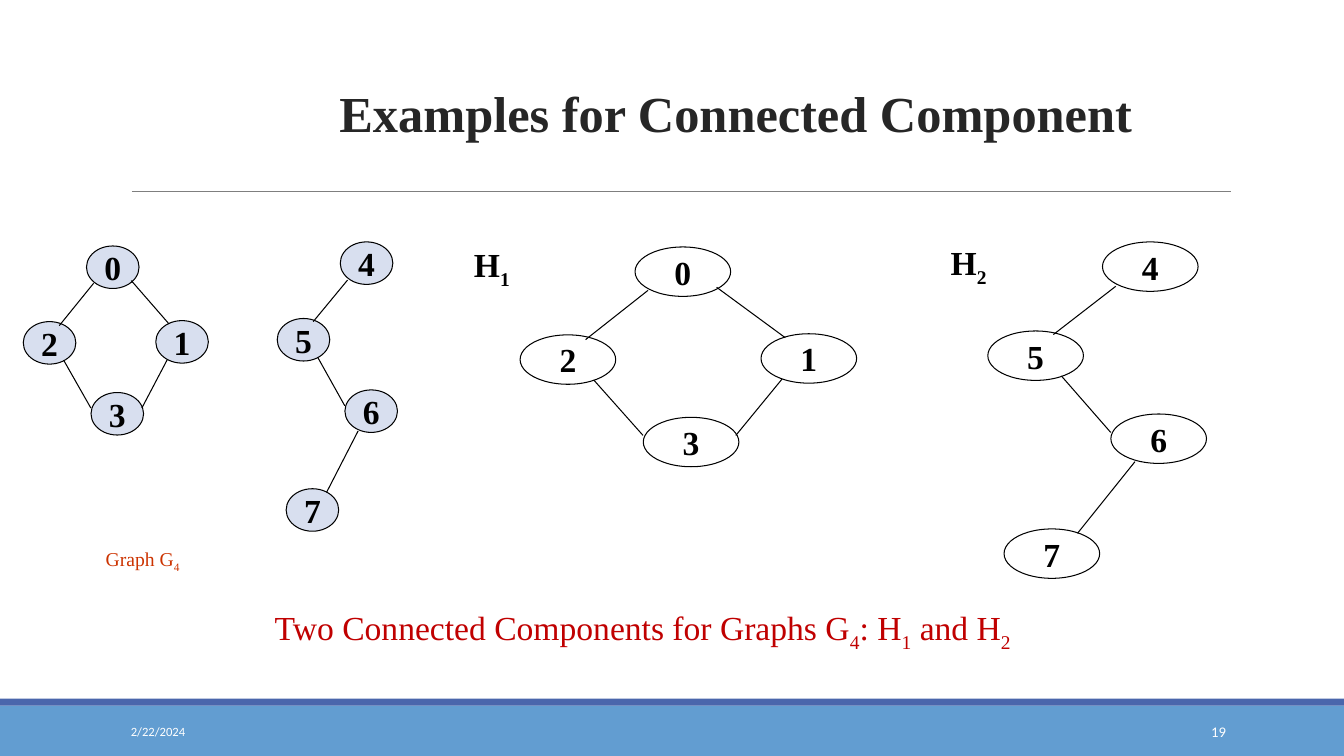
from pptx import Presentation
from pptx.dml.color import RGBColor
from pptx.enum.shapes import MSO_CONNECTOR, MSO_SHAPE
from pptx.enum.text import MSO_ANCHOR, PP_ALIGN
from pptx.oxml.ns import qn
from pptx.util import Pt
from lxml import etree

RECT, OVAL = MSO_SHAPE.RECTANGLE, MSO_SHAPE.OVAL
LINE = MSO_CONNECTOR.STRAIGHT
TOP, MID, LOW = MSO_ANCHOR.TOP, MSO_ANCHOR.MIDDLE, MSO_ANCHOR.BOTTOM
LEFT, MIDST, RIGHT = PP_ALIGN.LEFT, PP_ALIGN.CENTER, PP_ALIGN.RIGHT
SERIF, SANS = "Times New Roman", "Calibri"
HUES = {
    "white": "FFFFFF", "black": "000000", "node": "D8DFEF", "rule": "7F7F7F",
    "band": "629DD1", "strip": "4A66AC", "title": "262626",
    "red": "C00000", "rust": "CC3300",
}

# Content: runs are (text, is subscript)
TEXTS = [
    # box, runs, size, hue, bold, font, align, anchor
    ((86.4, 508.3, 194.4, 28.8), [("2/22/2024", False)],
     9, "white", False, SANS, LEFT, MID),
    ((779.8, 508.3, 103, 28.8), [("19", False)],
     10.5, "white", False, SANS, RIGHT, MID),
    ((324.7, 178.6, 53.3, 24.5), [("H", False), ("1", True)],
     24, "black", True, SERIF, MIDST, MID),
    ((665.3, 177.1, 53.3, 24.5), [("H", False), ("2", True)],
     24, "black", True, SERIF, MIDST, MID),
    ((129.6, 29.5, 792, 76.3), [("Examples for Connected Component", False)],
     36, "title", True, SERIF, MIDST, LOW),
    ((178.6, 432, 560.9, 36),
     [("Two Connected Components for Graphs G", False), ("4", True),
      (": H", False), ("1", True), (" and H", False), ("2", True)],
     24, "red", False, SERIF, MIDST, MID),
    ((68.4, 387.4, 72, 24.5), [("Graph G", False), ("4", True)],
     14, "rust", False, SERIF, LEFT, TOP),
]

# Each part: node corners and edge ends, relative to the part's corner
RING = {
    "nodes": {"0": (82.1, 0), "1": (172.1, 62), "2": (0, 62.8),
              "3": (88, 121.7)},
    "edges": [(140.4, 28.8, 189.4, 64.8), (187.2, 94.3, 154.1, 134.6),
              (91.4, 31, 46.8, 66.2), (52.6, 95, 87.8, 134.6)],
}
CHAIN = {
    "nodes": {"4": (81.9, 0), "5": (0, 63.6), "6": (87.9, 122.9),
              "7": (11.6, 205)},
    "edges": [(91.4, 31.7, 46.8, 66.2), (52.6, 95.8, 87.8, 136.1),
              (105.1, 157, 64.1, 208.1)],
}
NODE = (68.3, 35.3)
FULL, SMALL = (1, 1), (0.55, 0.86)
PARTS = [
    # part, corner, scale, fill
    (RING, (371.5, 176.4), FULL, "white"),
    (CHAIN, (705.6, 172.8), FULL, "white"),
    (RING, (16.6, 175.7), SMALL, "node"),
    (CHAIN, (198, 172.8), SMALL, "node"),
]


def hue(name):
    return RGBColor.from_string(HUES[name])


def write(shape, runs, size, tint, bold, font, align, anchor):
    frame = shape.text_frame
    frame.word_wrap = True
    frame.vertical_anchor = anchor
    para = frame.paragraphs[0]
    para.alignment = align
    for text, sub in runs:
        run = para.add_run()
        run.text = text
        run.font.size, run.font.bold, run.font.name = Pt(size), bold, font
        run.font.color.rgb = hue(tint)
        if sub:
            run.font._element.set("baseline", "-25000")
    return para


def block(kind, box, fill):
    shape = slide.shapes.add_shape(kind, *map(Pt, box))
    shape.shadow.inherit = False
    shape.fill.solid()
    shape.fill.fore_color.rgb = hue(fill)
    shape.line.fill.background()
    return shape


def stroke(ends, tint):
    line = slide.shapes.add_connector(LINE, *map(Pt, ends))
    line.line.width = Pt(0.75)
    line.line.color.rgb = hue(tint)
    etree.SubElement(line._element.spPr, qn("a:effectLst"))


def draw(part, corner, scale, fill):
    def place(x, y):
        return corner[0] + x * scale[0], corner[1] + y * scale[1]

    size = (NODE[0] * scale[0], NODE[1] * scale[1])
    for name, spot in part["nodes"].items():
        oval = block(OVAL, place(*spot) + size, fill)
        oval.line.color.rgb = hue("black")
        oval.line.width = Pt(0.75)
        write(oval, [(name, False)], 24, "black", True, SERIF, MIDST, MID)
    for x1, y1, x2, y2 in part["edges"]:
        stroke(place(x1, y1) + place(x2, y2), "black")


deck = Presentation()
deck.slide_width, deck.slide_height = Pt(960), Pt(540)
slide = deck.slides.add_slide(deck.slide_layouts[6])

# Footer bands and title rule
block(RECT, (0, 504, 960, 36), "band")
block(RECT, (0, 499, 960, 5), "strip")
stroke((94.3, 136.6, 879, 136.6), "rule")

# Graphs
for part in PARTS:
    draw(*part)

# Title, labels and footer text
for box, runs, size, *style in TEXTS:
    para = write(slide.shapes.add_textbox(*map(Pt, box)), runs, size, *style)
    if size == 36:
        para.line_spacing = 0.85

deck.save("out.pptx")
